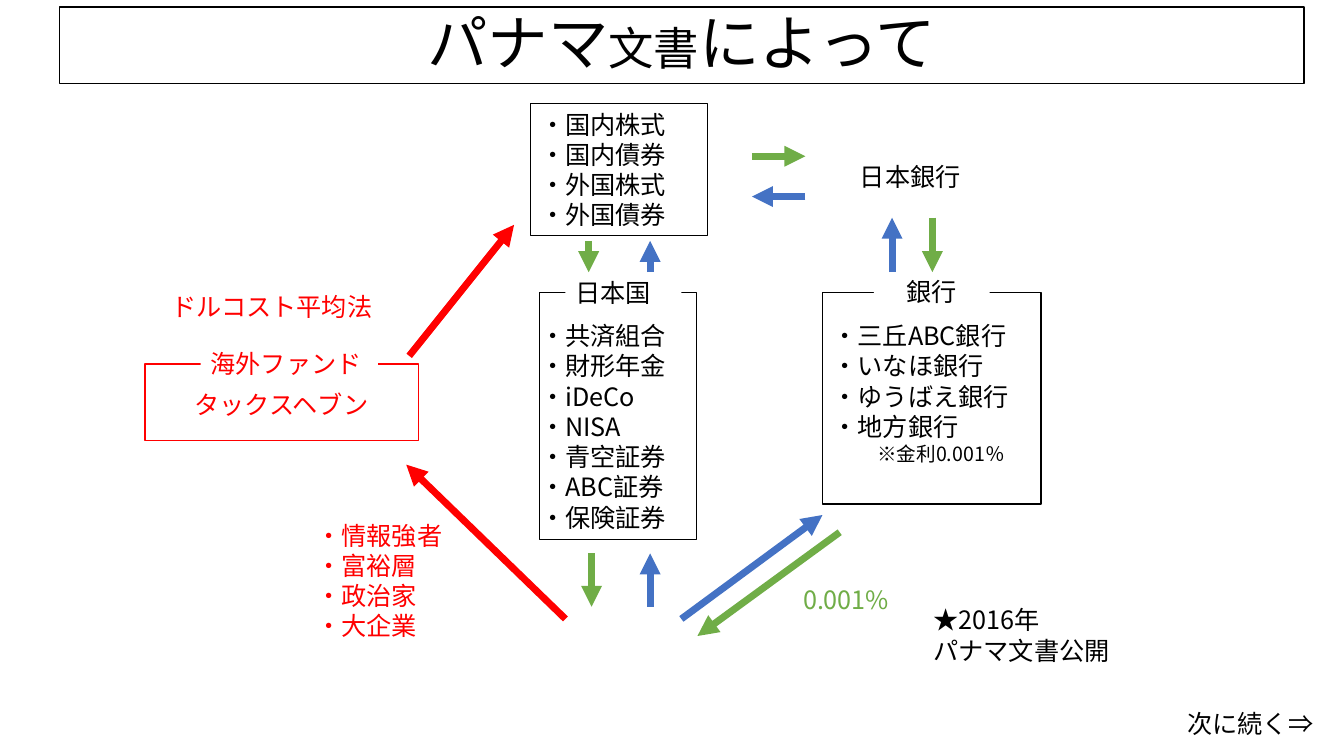
"""Build a one-slide money flow diagram about the Panama Papers."""
from dataclasses import dataclass

import lxml.etree
import pptx
import pptx.dml.color
import pptx.enum.shapes
import pptx.enum.text
import pptx.oxml.ns
import pptx.util

Pt = pptx.util.Pt
qn = pptx.oxml.ns.qn
Align = pptx.enum.text.PP_ALIGN


@dataclass(frozen=True)
class Theme:
    """Colours, font and sizes of the slide."""

    font: str = "Noto Sans CJK JP"
    black: str = "000000"
    white: str = "FFFFFF"
    red: str = "FF0000"
    blue: str = "4472C4"
    green: str = "70AD47"
    title: float = 43.2
    title_small: float = 32.4
    body: float = 18
    note: float = 14
    arrow: float = 5


class Diagram:
    """Draws elements on one slide in one style."""

    def __init__(self, slide, theme):
        """Keep the slide and its theme."""
        self.s = slide
        self.t = theme

    def rgb(self, color):
        """Turn a hex string into a colour."""
        return pptx.dml.color.RGBColor.from_string(color)

    def outline(self, sp, color, width):
        """Give a shape a solid line."""
        sp.line.color.rgb = self.rgb(color)
        sp.line.width = Pt(width)

    def style(self, p, color, size, align):
        """Set the font and alignment of a paragraph."""
        p.alignment = align
        p.font.name = self.t.font
        p.font.size = Pt(size)
        p.font.color.rgb = self.rgb(color)
        ea = lxml.etree.SubElement(p._p.pPr.find(qn("a:defRPr")), qn("a:ea"))
        ea.set("typeface", self.t.font)

    def title(self, box, parts):
        """Add the framed title from pairs of text and size."""
        sp = self.s.shapes.add_textbox(*map(Pt, box))
        self.outline(sp, self.t.black, 1.25)
        tf = sp.text_frame
        tf.word_wrap = True
        tf.vertical_anchor = pptx.enum.text.MSO_ANCHOR.BOTTOM
        p = tf.paragraphs[0]
        p.line_spacing = 0.9
        self.style(p, self.t.black, self.t.title, Align.CENTER)
        for text, size in parts:
            r = p.add_run()
            r.text = text
            r.font.size = Pt(size)

    def text(self, box, lines, color=None, align=Align.LEFT, fill=True, note=None):
        """Add a text box with one paragraph per line and an optional note."""
        color = color or self.t.black
        sp = self.s.shapes.add_textbox(*map(Pt, box))
        if fill:
            sp.fill.solid()
            sp.fill.fore_color.rgb = self.rgb(self.t.white)
        tf = sp.text_frame
        tf.word_wrap = True
        tf.auto_size = pptx.enum.text.MSO_AUTO_SIZE.SHAPE_TO_FIT_TEXT
        for i, line in enumerate(lines):
            p = tf.paragraphs[0] if i == 0 else tf.add_paragraph()
            p.text = line
            self.style(p, color, self.t.body, align)
        if note:
            p = tf.add_paragraph()
            p.text = note
            self.style(p, color, self.t.note, Align.CENTER)
        return sp

    def frame(self, box, color):
        """Add an empty outlined rectangle."""
        sp = self.s.shapes.add_shape(
            pptx.enum.shapes.MSO_SHAPE.RECTANGLE, *map(Pt, box))
        sp.shadow.inherit = False
        sp.fill.background()
        self.outline(sp, color, 1)

    def panel(self, box, label_box, label, list_box, lines, color=None,
              align=Align.LEFT, note=None):
        """Add a frame with its list and a label across the top edge."""
        self.text(list_box, lines, color, fill=False, note=note)
        self.frame(box, color or self.t.black)
        self.text(label_box, [label], color, align)

    def arrow(self, color, x1, y1, x2, y2):
        """Add a thick arrow from the first point to the second."""
        sp = self.s.shapes.add_connector(
            pptx.enum.shapes.MSO_CONNECTOR.STRAIGHT, *map(Pt, (x1, y1, x2, y2)))
        self.outline(sp, color, self.t.arrow)
        tail = lxml.etree.SubElement(sp.line._get_or_add_ln(), qn("a:tailEnd"))
        tail.set("type", "triangle")
        lxml.etree.SubElement(sp._element.spPr, qn("a:effectLst"))


def main():
    """Build and save the presentation."""
    prs = pptx.Presentation()
    prs.slide_width, prs.slide_height = Pt(960), Pt(540)
    t = Theme()
    d = Diagram(prs.slides.add_slide(prs.slide_layouts[6]), t)

    d.title((42.5, 5, 889, 54.7), [
        ("パナマ", t.title), ("文書", t.title_small), ("によって", t.title)])
    assets = d.text((378.7, 74.2, 126.7, 94.3), [
        "・国内株式", "・国内債券", "・外国株式", "・外国債券"], fill=False)
    d.outline(assets, t.black, 0.75)

    d.panel((385.2, 208.8, 112.3, 176.4), (403.9, 194.4, 82.8, 28.8), "日本国",
            (378.7, 225.4, 126.7, 159.8),
            ["・共済組合", "・財形年金", "・iDeCo", "・NISA", "・青空証券",
             "・ABC証券", "・保険証券"])
    d.panel((587.5, 208.8, 156.2, 151.2), (624.2, 193.7, 82.8, 28.8), "銀行",
            (587.5, 225.4, 169.2, 113.8),
            ["・三丘ABC銀行", "・いなほ銀行", "・ゆうばえ銀行", "・地方銀行"],
            align=Align.CENTER, note="※金利0.001％")
    d.panel((103.7, 259.9, 195.1, 54.7), (143.3, 245.5, 126.7, 28.8),
            "海外ファンド", (131.8, 274.3, 193, 28.8), ["タックスヘブン"], t.red)
    d.text((115.2, 204.5, 203.8, 28.8), ["ドルコスト平均法"], t.red)

    for color, *points in [
        (t.blue, 464.4, 433.4, 464.4, 395.3),
        (t.blue, 486.7, 442.1, 587.5, 367.9),
        (t.blue, 464.4, 194.4, 464.4, 172.1),
        (t.green, 420.5, 172.1, 420.5, 194.4),
        (t.green, 422.6, 395.3, 422.6, 433.4),
        (t.red, 403.9, 442.1, 290.2, 331.9),
        (t.red, 292.3, 254.2, 367.2, 160.6),
        (t.green, 599.8, 380.2, 498.2, 454.3),
        (t.blue, 637.2, 194.4, 637.2, 155.5),
        (t.green, 666, 155.5, 666, 194.4),
        (t.blue, 575.3, 140.4, 537.1, 140.4),
        (t.green, 537.1, 111.6, 575.3, 111.6),
    ]:
        d.arrow(color, *points)

    d.text((563, 414, 82.8, 28.8), ["0.001%"], t.green, Align.CENTER)
    d.text((218.9, 367.9, 154.1, 94.3),
           ["・情報強者", "・富裕層", "・政治家", "・大企業"], t.red, fill=False)
    d.text((599.8, 111.6, 100.8, 28.8), ["日本銀行"], align=Align.CENTER)
    d.text((659.5, 428.4, 169.2, 51.1), ["★2016年", "パナマ文書公開"])
    d.text((841, 502.6, 112.3, 28.8), ["次に続く⇒"])
    prs.save("out.pptx")


if __name__ == "__main__":
    main()
